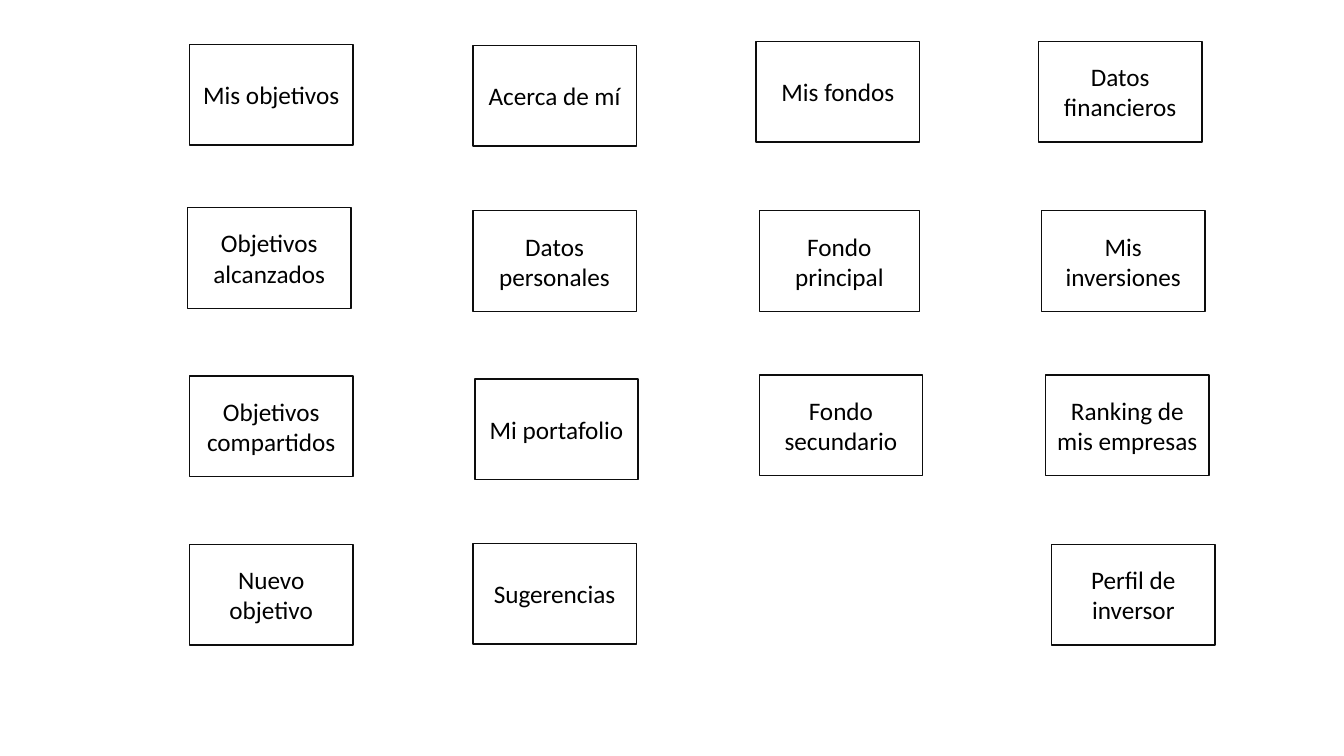
from pptx import Presentation
from pptx.dml.color import RGBColor
from pptx.enum.shapes import MSO_SHAPE
from pptx.enum.text import MSO_ANCHOR, PP_ALIGN
from pptx.util import Inches, Pt

SLIDE_WIDTH, SLIDE_HEIGHT = 13.33, 7.5
CARD_WIDTH, CARD_HEIGHT = 1.62, 1
COLUMN_PITCH, ROW_PITCH = 2.81, 1.65
MAP_LEFT, MAP_TOP = 1.88, 0.44

# Each column of the menu, top to bottom: label, shift right and shift down
# from the grid position, in inches.
MENU = [
    [("Mis objetivos", 0, 0),
     ("Objetivos alcanzados", -0.02, -0.03),
     ("Objetivos compartidos", 0, -0.01),
     ("Nuevo objetivo", 0, 0.01)],
    [("Acerca de mí", 0, 0.01),
     ("Datos personales", 0, 0),
     ("Mi portafolio", 0.02, 0.02),
     ("Sugerencias", 0, 0)],
    [("Mis fondos", 0, -0.03),
     ("Fondo principal", 0.03, 0),
     ("Fondo secundario", 0.03, -0.02)],
    [("Datos financieros", -0.01, -0.03),
     ("Mis inversiones", 0.02, 0),
     ("Ranking de mis empresas", 0.06, -0.02),
     ("Perfil de inversor", 0.12, 0.01)],
]
CARD_WIDTHS = {"Fondo principal": 1.59}


def color(hex_code):
    """Turn a hex string into a colour."""
    return RGBColor.from_string(hex_code)


def write(frame, text, size=18, font="Calibri", ink="000000",
          align=PP_ALIGN.CENTER, anchor=MSO_ANCHOR.MIDDLE):
    """Put formatted, wrapped text into a text frame."""
    frame.word_wrap = True
    frame.vertical_anchor = anchor
    paragraph = frame.paragraphs[0]
    paragraph.alignment = align
    run = paragraph.add_run()
    run.text = text
    run.font.size = Pt(size)
    run.font.name = font
    run.font.color.rgb = color(ink)


def add_card(slide, label, left, top, width, height):
    """Draw one outlined card with its centred label."""
    card = slide.shapes.add_shape(
        MSO_SHAPE.RECTANGLE,
        Inches(left), Inches(top), Inches(width), Inches(height))
    card.shadow.inherit = False
    card.fill.background()
    card.line.color.rgb = color("0D0D0D")
    card.line.width = Pt(1)
    write(card.text_frame, label)


def add_menu_map(slide, left, top, column_pitch, row_pitch):
    """Lay out the menu cards by column and row from the given corner."""
    for column, sections in enumerate(MENU):
        for row, (label, shift_x, shift_y) in enumerate(sections):
            add_card(slide, label,
                     left + column * column_pitch + shift_x,
                     top + row * row_pitch + shift_y,
                     CARD_WIDTHS.get(label, CARD_WIDTH), CARD_HEIGHT)


def main():
    """Build the slide and save it."""
    presentation = Presentation()
    presentation.slide_width = Inches(SLIDE_WIDTH)
    presentation.slide_height = Inches(SLIDE_HEIGHT)
    blank_layout = presentation.slide_layouts[6]
    slide = presentation.slides.add_slide(blank_layout)
    add_menu_map(slide, MAP_LEFT, MAP_TOP, COLUMN_PITCH, ROW_PITCH)
    presentation.save("out.pptx")


main()
